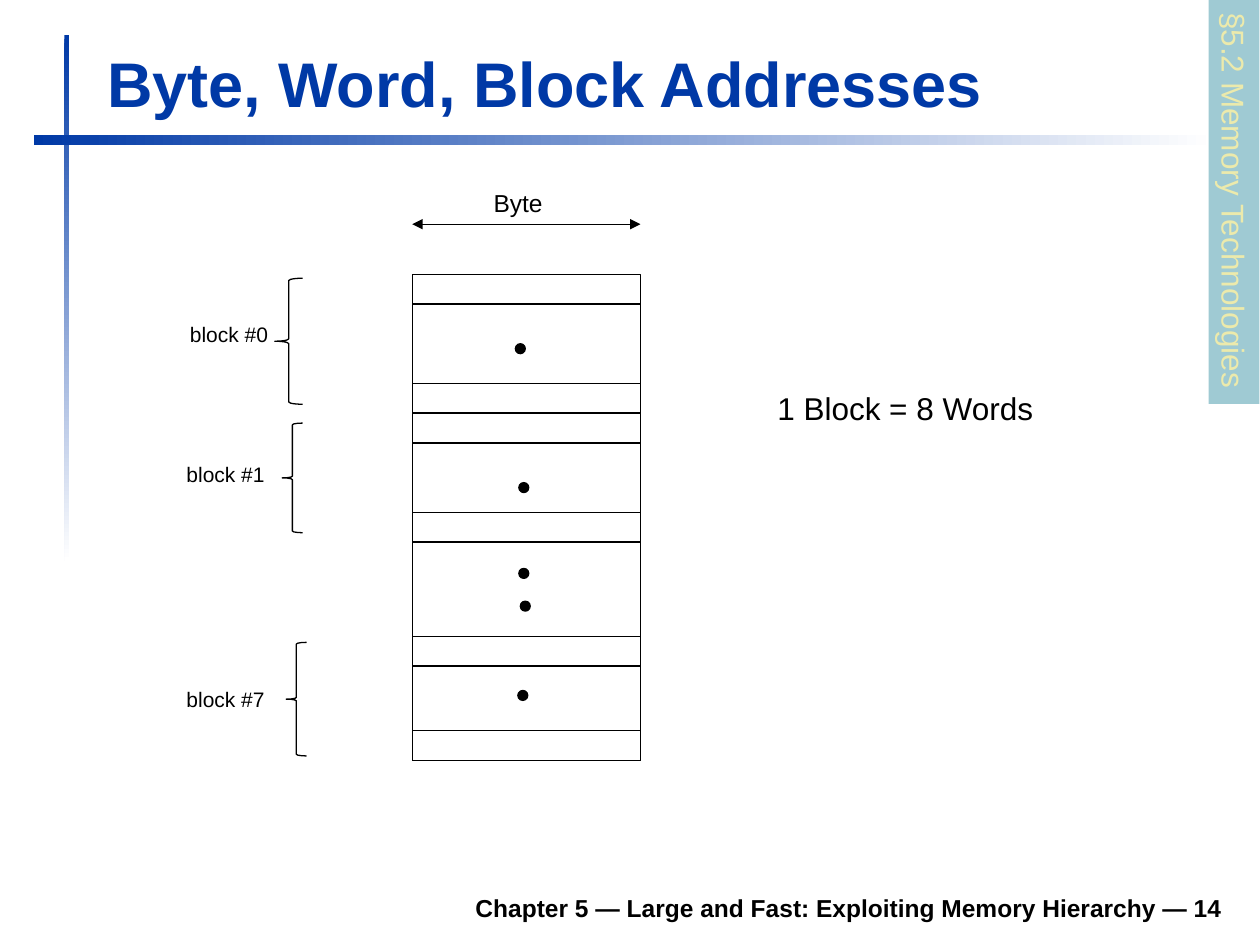
from itertools import accumulate

from lxml import etree
from pptx import Presentation
from pptx.dml.color import RGBColor
from pptx.enum.shapes import MSO_CONNECTOR, MSO_SHAPE
from pptx.enum.text import MSO_ANCHOR, PP_ALIGN
from pptx.oxml.ns import qn
from pptx.util import Cm, Pt

RECT, OVAL, BRACE = MSO_SHAPE.RECTANGLE, MSO_SHAPE.OVAL, MSO_SHAPE.LEFT_BRACE
STRAIGHT = MSO_CONNECTOR.STRAIGHT
TOP, BOTTOM = MSO_ANCHOR.TOP, MSO_ANCHOR.BOTTOM
LEFT, RIGHT = PP_ALIGN.LEFT, PP_ALIGN.RIGHT

BLACK = RGBColor(0x00, 0x00, 0x00)
WHITE = RGBColor(0xFF, 0xFF, 0xFF)
BLUE = RGBColor(0x00, 0x39, 0xA6)
TEAL = RGBColor(0x9F, 0xCA, 0xD3)
CREAM = RGBColor(0xEC, 0xEA, 0xAC)
LINE_WIDTH = Pt(0.75)

# All lengths are in centimetres; boxes are left, top, width, height.
TITLE = "Byte, Word, Block Addresses"
FOOTER = "Chapter 5 — Large and Fast: Exploiting Memory Hierarchy — 14"
SECTION = "§5.2 Memory Technologies"
BLOCK_SIZE = "1 Block = 8 Words"

RULES = [  # box, gradient angle
    ((1.3, 0.71, 0.1, 10.6), 270),
    ((0.69, 2.72, 23.8, 0.2), 0),
]
MEMORY_LEFT, MEMORY_TOP, MEMORY_WIDTH = 8.31, 5.53, 4.6
ROW = 0.6
ROW_HEIGHTS = [ROW, 1.6, ROW, ROW, 1.4, ROW, 1.9, ROW, 1.3, ROW]
OUTLINE_START = 4  # from this row on, one outline holds the byte rows
BYTE_ARROW_Y = 4.52
DOT = 0.2
DOTS = [(10.39, 6.93), (10.46, 9.73), (10.46, 11.46), (10.49, 12.12), (10.44, 13.92)]
BLOCKS = [  # label, label box, brace box
    ("block #0", (3.58, 6.35, 2.31, 0.76), (5.54, 5.61, 0.56, 2.54)),
    ("block #1", (3.51, 9.17, 2.31, 0.76), (5.69, 8.53, 0.41, 2.21)),
    ("block #7", (3.51, 13.72, 2.41, 0.76), (5.77, 12.95, 0.41, 2.29)),
]

prs = Presentation()
prs.slide_width, prs.slide_height = Cm(25.4), Cm(19.05)
slide = prs.slides.add_slide(prs.slide_layouts[6])


def add_shape(kind, box, fill=None, line=BLACK):
    shape = slide.shapes.add_shape(kind, *map(Cm, box))
    shape.shadow.inherit = False
    if fill is None:
        shape.fill.background()
    else:
        shape.fill.solid()
        shape.fill.fore_color.rgb = fill
    if line is None:
        shape.line.fill.background()
    else:
        shape.line.color.rgb = line
        shape.line.width = LINE_WIDTH
    return shape


def write(shape, text, size, color=BLACK, bold=False, align=LEFT, anchor=TOP, wrap=True):
    frame = shape.text_frame
    frame.word_wrap = wrap
    frame.vertical_anchor = anchor
    paragraph = frame.paragraphs[0]
    paragraph.text = text
    paragraph.alignment = align
    font = paragraph.font
    font.name, font.size, font.bold = "Arial", Pt(size), bold
    font.color.rgb = color


def add_text(box, text, size, **style):
    write(slide.shapes.add_textbox(*map(Cm, box)), text, size, **style)


def add_double_arrow(x1, x2, y):
    arrow = slide.shapes.add_connector(STRAIGHT, Cm(x1), Cm(y), Cm(x2), Cm(y))
    arrow.line.color.rgb = BLACK
    arrow.line.width = LINE_WIDTH
    line = arrow.line._get_or_add_ln()
    for end in ("a:headEnd", "a:tailEnd"):
        etree.SubElement(line, qn(end), type="triangle")
    etree.SubElement(arrow._element.spPr, qn("a:effectLst"))


for box, angle in RULES:
    rule = add_shape(RECT, box, line=None)
    rule.fill.gradient()
    rule.fill.gradient_angle = angle
    for stop, color in zip(rule.fill.gradient_stops, (BLUE, WHITE)):
        stop.color.rgb = color

add_text((4.7, 17.73, 20.19, 0.99), FOOTER, 14, bold=True, align=RIGHT, anchor=BOTTOM)
add_text((1.91, 0.74, 22.94, 1.8), TITLE, 36, color=BLUE, bold=True, anchor=BOTTOM)

section_tab = add_shape(RECT, (20.8, 3.56, 8.15, 1.02), fill=TEAL, line=None)
section_tab.rotation = 90
write(section_tab, SECTION, 18, color=CREAM, wrap=False)

row_tops = list(accumulate(ROW_HEIGHTS, initial=MEMORY_TOP))
for index, (top, height) in enumerate(zip(row_tops, ROW_HEIGHTS)):
    if index == OUTLINE_START:
        height = row_tops[-1] - top
    elif index > OUTLINE_START and height != ROW:
        continue
    add_shape(RECT, (MEMORY_LEFT, top, MEMORY_WIDTH, height))

for x, y in DOTS:
    add_shape(OVAL, (x, y, DOT, DOT), fill=BLACK)

add_double_arrow(MEMORY_LEFT, MEMORY_LEFT + MEMORY_WIDTH, BYTE_ARROW_Y)
add_text((9.7, 3.66, 1.6, 0.86), "Byte", 14)

for label, label_box, brace_box in BLOCKS:
    add_shape(BRACE, brace_box, fill=WHITE)
    add_text(label_box, label, 12)

add_text((15.42, 7.72, 5.72, 1.02), BLOCK_SIZE, 18, wrap=False)

prs.save("out.pptx")
